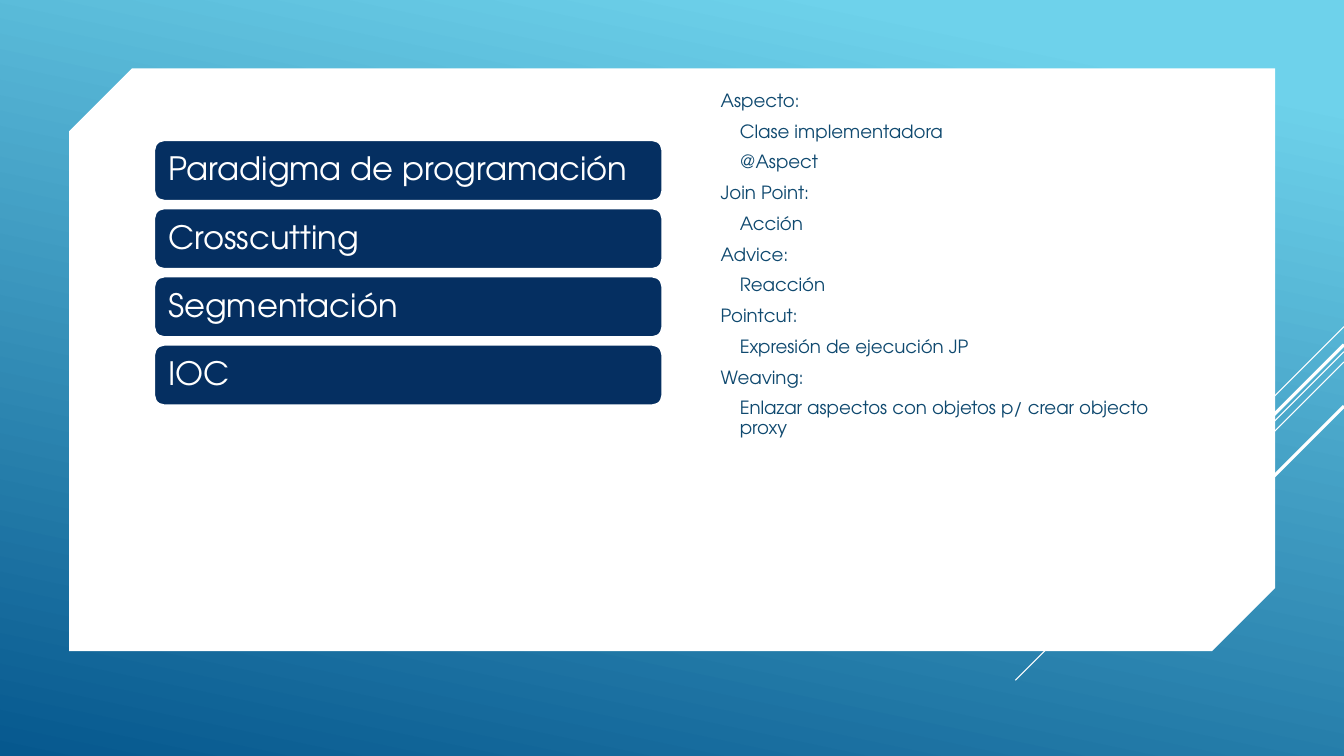
import pptx
import pptx.dml.color
import pptx.enum.shapes
import pptx.enum.text
import pptx.oxml.ns
import pptx.util
from lxml import etree

RGBColor = pptx.dml.color.RGBColor
WHITE = RGBColor(0xFF, 0xFF, 0xFF)
NAVY = RGBColor(0x05, 0x2F, 0x61)
TEXT_BLUE = RGBColor(0x0F, 0x49, 0x6F)
SKY = RGBColor(0x6E, 0xD2, 0xEB)
DEEP_BLUE = RGBColor(0x06, 0x58, 0x8E)
SHAPES = pptx.enum.shapes.MSO_SHAPE
ANCHOR = pptx.enum.text.MSO_ANCHOR


class SlideBuilder:
    """Holds the style and the slide; lengths are percent of the slide's size."""

    font = "TeX Gyre Adventor"
    line_spacing = 0.9

    def __init__(self, presentation):
        """Add a blank slide to the presentation."""
        self.width = presentation.slide_width
        self.height = presentation.slide_height
        self.slide = presentation.slides.add_slide(presentation.slide_layouts[6])

    def place(self, x, y):
        """Turn percent shares into slide lengths."""
        return round(self.width * x / 100), round(self.height * y / 100)

    def background(self, angle, stops):
        """Fill the background with a gradient running clockwise from the right."""
        fill = self.slide.background.fill
        fill.gradient()
        fill.gradient_angle = 360 - angle
        for stop, (position, color) in zip(fill.gradient_stops, stops):
            stop.position = position
            stop.color.rgb = color

    def diagonal(self, top, run, weight):
        """Draw a 45 degree line down and left from the right edge."""
        start_x, start_y = self.place(100, top)
        length = self.place(run, 0)[0]
        line = self.slide.shapes.add_connector(
            pptx.enum.shapes.MSO_CONNECTOR.STRAIGHT,
            start_x, start_y, start_x - length, start_y + length)
        line.line.color.rgb = WHITE
        line.line.width = pptx.util.Pt(weight)
        properties = line._element.spPr
        etree.SubElement(properties, pptx.oxml.ns.qn("a:effectLst"))

    def panel(self, kind, left, top, width, height, color):
        """Draw a filled preset shape without outline."""
        shape = self.slide.shapes.add_shape(
            kind, *self.place(left, top), *self.place(width, height))
        shape.shadow.inherit = False
        shape.fill.solid()
        shape.fill.fore_color.rgb = color
        shape.line.fill.background()
        return shape

    def fill_paragraph(self, paragraph, text, size, color, before=0, after=0, indent=0):
        """Set one left-aligned paragraph as a single run."""
        paragraph.alignment = pptx.enum.text.PP_ALIGN.LEFT
        paragraph.line_spacing = self.line_spacing
        paragraph.space_before = pptx.util.Pt(before)
        paragraph.space_after = pptx.util.Pt(after)
        properties = paragraph._p.get_or_add_pPr()
        properties.set("marL", str(pptx.util.Inches(indent)))
        properties.set("indent", "0")
        run = paragraph.add_run()
        run.text = text
        run.font.name = self.font
        run.font.size = pptx.util.Pt(size)
        run.font.color.rgb = color

    def card(self, left, top, width, height, text):
        """Draw a rounded card with its caption."""
        shape = self.panel(SHAPES.ROUNDED_RECTANGLE, left, top, width, height, NAVY)
        shape.line.color.rgb = WHITE
        shape.line.width = pptx.util.Pt(1.25)
        frame = shape.text_frame
        frame.word_wrap = True
        frame.vertical_anchor = ANCHOR.MIDDLE
        frame.margin_left = frame.margin_right = pptx.util.Inches(0.11)
        self.fill_paragraph(frame.paragraphs[0], text, 23, WHITE, after=8)

    def outline(self, left, top, width, height, sections):
        """List each term with its details indented beneath it."""
        box = self.slide.shapes.add_textbox(
            *self.place(left, top), *self.place(width, height))
        frame = box.text_frame
        frame.word_wrap = True
        frame.vertical_anchor = ANCHOR.TOP
        entries = [(text, indent) for term, details in sections
                   for text, indent in [(term, 0.29)] + [(d, 0.48) for d in details]]
        for index, (text, indent) in enumerate(entries):
            paragraph = frame.add_paragraph() if index else frame.paragraphs[0]
            self.fill_paragraph(paragraph, text, 13, TEXT_BLUE, 2.3, 5.6, indent)


DIAGONALS = [(43.2, 7.5, 0.75), (46.53, 24.45, 0.75), (47.87, 15.53, 0.75),
             (45.6, 14.33, 2.25), (53.73, 10.43, 2.25)]
TOPICS = ["Paradigma de programación", "Crosscutting", "Segmentación", "IOC"]
CONCEPTS = [
    ("Aspecto:", ["Clase implementadora", "@Aspect"]),
    ("Join Point:", ["Acción"]),
    ("Advice:", ["Reacción"]),
    ("Pointcut:", ["Expresión de ejecución JP"]),
    ("Weaving:", ["Enlazar aspectos con objetos p/ crear objecto proxy"]),
]
CARD_TOP, CARD_PITCH = 18.55, 9.02

presentation = pptx.Presentation()
presentation.slide_width = pptx.util.Inches(13.33)
presentation.slide_height = pptx.util.Inches(7.5)
builder = SlideBuilder(presentation)
builder.background(102, [(0.1, SKY), (1, DEEP_BLUE)])
for top, run, weight in DIAGONALS:
    builder.diagonal(top, run, weight)
sheet = builder.panel(SHAPES.SNIP_2_DIAG_RECTANGLE, 5.15, 9.05, 89.72, 77.07, WHITE)
sheet.adjustments[0] = 0.108
sheet.adjustments[1] = 0
for row, topic in enumerate(TOPICS):
    builder.card(11.48, CARD_TOP + row * CARD_PITCH, 37.8, 8, topic)
builder.outline(50.71, 11.47, 37.8, 49.2, CONCEPTS)
presentation.save("out.pptx")
